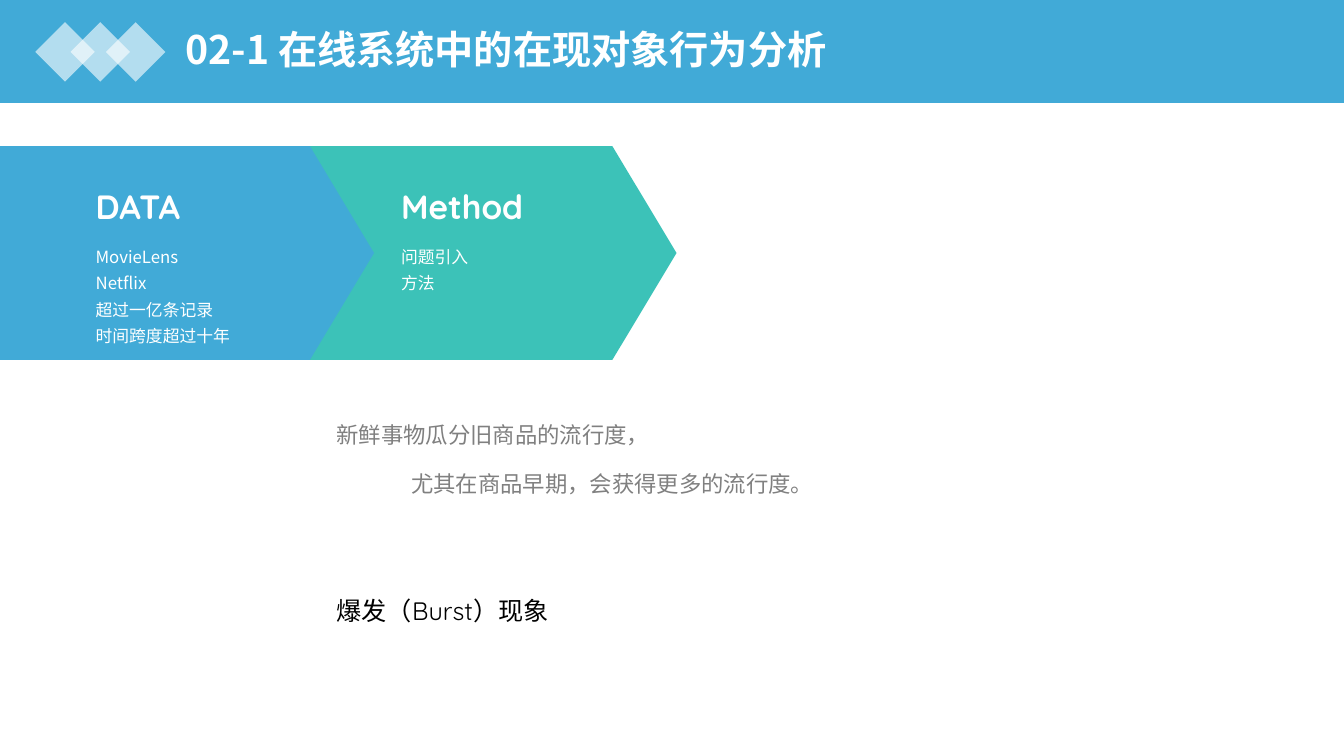
import pptx
import pptx.util
import pptx.dml.color
import pptx.enum.shapes
import pptx.enum.text
import pptx.oxml
import pptx.oxml.ns

Inches, Pt = pptx.util.Inches, pptx.util.Pt
SHAPE = pptx.enum.shapes.MSO_SHAPE
ANCHOR = pptx.enum.text.MSO_ANCHOR
qn = pptx.oxml.ns.qn

# Content
TITLE = "02-1 在线系统中的在现对象行为分析"
STEPS = [  # heading, lines, colour, arrow left, text left, heading width
    ("DATA", ["MovieLens", "Netflix", "超过一亿条记录", "时间跨度超过十年"],
     "41AAD7", 0, 0.85, 1.08),
    ("Method", ["问题引入", "方法"], "3CC2B8", 3, 3.88, 1.46),
]
FINDING = ["新鲜事物瓜分旧商品的流行度，", "尤其在商品早期，会获得更多的流行度。"]
PHENOMENON = "爆发（Burst）现象"

BLUE, WHITE, GREY, BLACK = "41AAD7", "FFFFFF", "808080", "000000"
SANS, ROUND = "Noto Sans CJK SC", "Quicksand"


def rgb(code):
    return pptx.dml.color.RGBColor.from_string(code)


def add_block(preset, left, top, width, height, color, alpha=None):
    sp = slide.shapes.add_shape(preset, Inches(left), Inches(top),
                                Inches(width), Inches(height))
    sp.shadow.inherit = False
    sp.line.fill.background()
    sp.fill.solid()
    sp.fill.fore_color.rgb = rgb(color)
    if alpha:
        clr = sp.fill._xPr.find(qn("a:solidFill"))[0]
        clr.append(pptx.oxml.parse_xml(
            '<a:alpha xmlns:a="http://schemas.openxmlformats.org/'
            f'drawingml/2006/main" val="{alpha * 1000}"/>'))
    return sp


def write(sp, lines, size, font, color, bold=False, spacing=1.0, gap=0):
    tf = sp.text_frame
    tf.text = "\n".join(lines)
    for i, p in enumerate(tf.paragraphs):
        p.line_spacing = spacing
        p.space_before = Pt(gap if i else 0)
        for r in p.runs:
            r.font.size, r.font.bold, r.font.name = Pt(size), bold, font
            r.font.color.rgb = rgb(color)
            ea = r._r.get_or_add_rPr().makeelement(qn("a:ea"), {"typeface": font})
            r.font._element.find(qn("a:latin")).addnext(ea)
    return tf


def add_text(left, top, width, height, lines, *style, wrap=True, **more):
    sp = slide.shapes.add_textbox(Inches(left), Inches(top),
                                  Inches(width), Inches(height))
    tf = write(sp, lines, *style, **more)
    tf.word_wrap = wrap
    return tf


prs = pptx.Presentation()
prs.slide_width, prs.slide_height = Inches(13.33), Inches(7.5)
slide = prs.slides.add_slide(prs.slide_layouts[5])

# Header band with three overlapping diamonds
add_block(SHAPE.RECTANGLE, 0, 0, 13.33, 1.02, BLUE)
for i in range(3):
    add_block(SHAPE.DIAMOND, 0.35 * (i + 1), 0.22, 0.59, 0.59, WHITE, 60)

# Title, brought in front of the band
title = slide.shapes.title
title.left, title.top = Inches(1.74), Inches(0.17)
title.width, title.height = Inches(10.94), Inches(0.68)
tf = write(title, [TITLE], 28, SANS, WHITE, bold=True, spacing=0.9)
tf.auto_size = pptx.enum.text.MSO_AUTO_SIZE.NONE
tf.vertical_anchor = ANCHOR.MIDDLE
tf.paragraphs[0].alignment = pptx.enum.text.PP_ALIGN.LEFT
slide.shapes._spTree.append(title._element)

# Arrows, the first step on top
for heading, lines, color, left, text_left, width in reversed(STEPS):
    arrow = add_block(SHAPE.PENTAGON, left, 1.45, 3.71, 2.12, color)
    arrow.adjustments[0] = 0.3

# Step texts
for heading, lines, color, left, text_left, width in STEPS:
    tf = add_text(text_left, 1.79, width, 0.5, [heading],
                  24, ROUND, WHITE, bold=True, wrap=False)
    tf.vertical_anchor = ANCHOR.MIDDLE
    add_text(text_left, 2.34, 2.15, 0.13 + 0.25 * len(lines), lines,
             12, SANS, WHITE, spacing=1.3)

# Finding, second line indented
tf = add_text(3.24, 4.05, 5.19, 0.9, FINDING, 16, ROUND, GREY,
              spacing=1.3, gap=10)
tf.paragraphs[1]._p.get_or_add_pPr().set("marL", str(Inches(0.74)))

add_text(3.24, 5.86, 2.47, 0.4, [PHENOMENON], 18, ROUND, BLACK)

prs.save("out.pptx")
